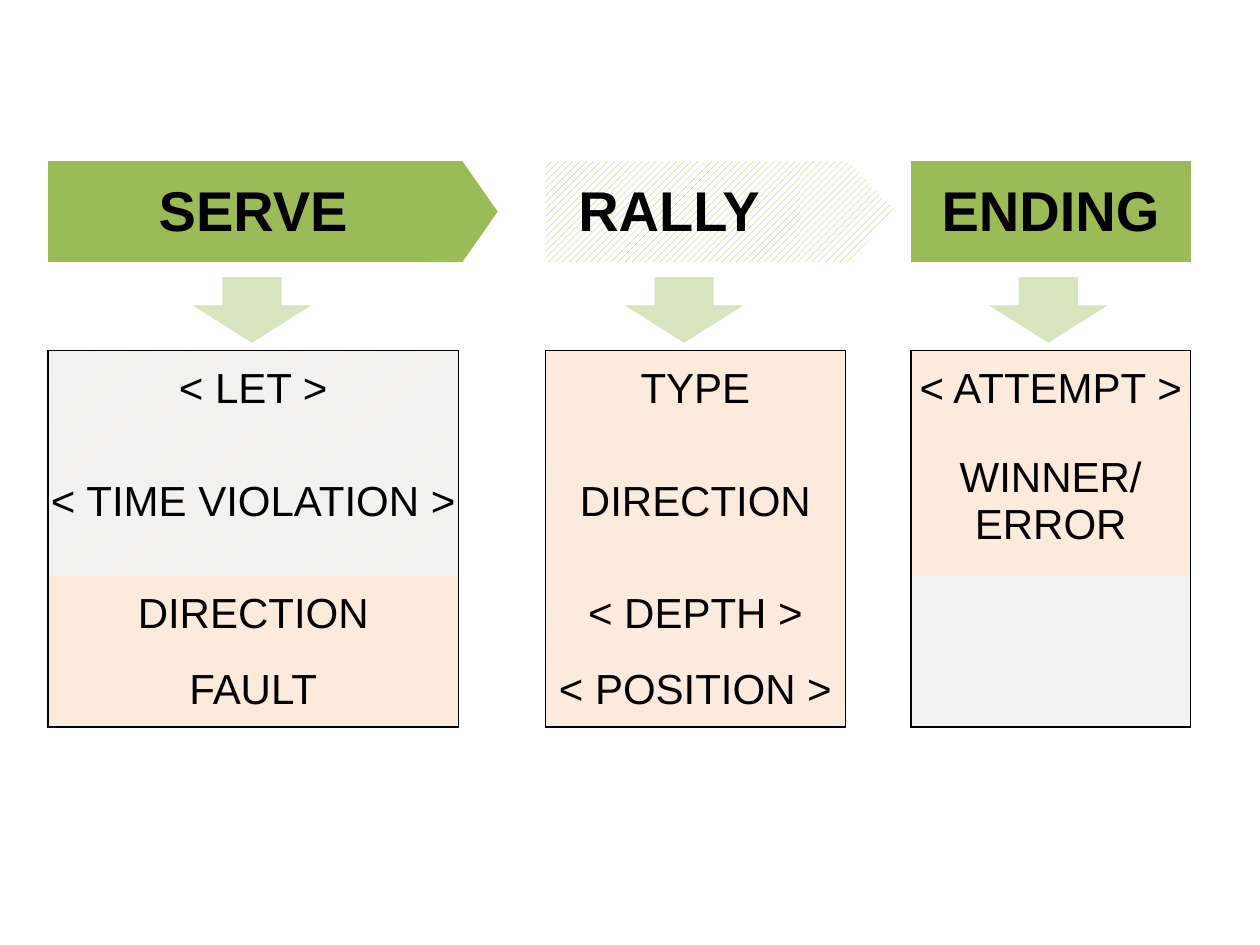
from lxml.etree import SubElement
from pptx import Presentation
from pptx.dml.color import RGBColor
from pptx.enum.dml import MSO_PATTERN
from pptx.enum.shapes import MSO_SHAPE
from pptx.enum.text import MSO_ANCHOR, PP_ALIGN
from pptx.oxml.ns import qn
from pptx.util import Inches, Pt

COLORS = {"green": "9BBB59", "pale_green": "D7E4BD", "peach": "FDEADA",
          "gray": "F2F2F2", "white": "FFFFFF", "black": "000000"}
FILLS = {  # one name: solid; two names: stripes on a background
    "green": ["green"], "green_stripes": ["green", "white"],
    "peach": ["peach"], "peach_stripes": ["gray", "peach"],
    "gray": ["gray"], "gray_stripes": ["peach", "gray"],
}


def paint(fill, names):
    """Apply a solid colour or diagonal stripes to a fill."""
    colors = [RGBColor.from_string(COLORS[name]) for name in names]
    if len(colors) == 1:
        fill.solid()
        fill.fore_color.rgb = colors[0]
    else:
        fill.patterned()
        fill.pattern = MSO_PATTERN.WIDE_UPWARD_DIAGONAL
        fill.fore_color.rgb, fill.back_color.rgb = colors


def draw_borders(cell, black_sides):
    """Draw the given sides (L, R, T, B) in black and hide the others."""
    properties = cell._tc.get_or_add_tcPr()
    for side in "LRTB":
        line = SubElement(properties, qn("a:ln" + side), w=str(Pt(1)))
        if side in black_sides:
            solid = SubElement(line, qn("a:solidFill"))
            SubElement(solid, qn("a:srgbClr"), val=COLORS["black"])
        else:
            SubElement(line, qn("a:noFill"))


prs = Presentation()
prs.slide_width, prs.slide_height = Inches(10), Inches(7.5)
slide = prs.slides.add_slide(prs.slide_layouts[6])

LEFT, TOP = 0.38, 1.28
column_widths = [3.26, 0.69, 2.38, 0.52, 2.22]
row_heights = [0.8, 0.7, 0.6, 1.19, 0.6, 0.6]
HEADER, ARROW_ROW, FIRST, LAST = 0, 1, 2, 5

# Each phase fills every second column; None is the row for the down arrows
phases = [
    [("SERVE", "green"), None, ("< LET >", "gray_stripes"),
     ("< TIME VIOLATION >", "gray_stripes"), ("DIRECTION", "peach"), ("FAULT", "peach")],
    [("RALLY", "green_stripes"), None, ("TYPE", "peach_stripes"),
     ("DIRECTION", "peach_stripes"), ("< DEPTH >", "peach_stripes"),
     ("< POSITION >", "peach_stripes")],
    [("ENDING", "green"), None, ("< ATTEMPT >", "peach_stripes"),
     ("WINNER/ ERROR", "peach"), ("", "gray"), ("", "gray")],
]

rally_table = slide.shapes.add_table(
    len(row_heights), len(column_widths), Inches(LEFT), Inches(TOP),
    Inches(sum(column_widths)), Inches(sum(row_heights))).table
rally_table.first_row = rally_table.horz_banding = False
for column, width in zip(rally_table.columns, column_widths):
    column.width = Inches(width)
for row, height in zip(rally_table.rows, row_heights):
    row.height = Inches(height)

cell_format = {"margin_left": Inches(0.01), "margin_right": Inches(0.01),
               "margin_top": Inches(0.01), "margin_bottom": 0,
               "vertical_anchor": MSO_ANCHOR.MIDDLE}

for r in range(len(row_heights)):
    for c in range(len(column_widths)):
        cell = rally_table.cell(r, c)
        is_phase = c % 2 == 0
        sides = "LR" if r >= FIRST else ""
        if is_phase:
            sides += {ARROW_ROW: "B", FIRST: "T", LAST: "B"}.get(r, "")
        draw_borders(cell, sides)
        for attribute, value in cell_format.items():
            setattr(cell, attribute, value)
        entry = phases[c // 2][r] if is_phase else None
        if entry is None:
            cell.fill.background()
            continue
        label, fill_name = entry
        paint(cell.fill, FILLS[fill_name])
        if not label:
            continue
        paragraph = cell.text_frame.paragraphs[0]
        paragraph.alignment = PP_ALIGN.CENTER
        if label == "RALLY":
            paragraph.alignment = PP_ALIGN.LEFT
            cell.margin_left = Inches(0.26)
        run = paragraph.add_run()
        run.text = label
        run.font.name = "Arial"
        run.font.size = Pt(32 if r == HEADER else 24)
        run.font.bold = r == HEADER
        run.font.color.rgb = RGBColor.from_string(COLORS["black"])

# Tips that turn two headers into arrows, then one down arrow per phase
markers = [(MSO_SHAPE.PENTAGON, 3.39, TOP, 0.56, 0.8, FILLS["green"]),
           (MSO_SHAPE.PENTAGON, 6.35, TOP, 0.76, 0.8, FILLS["green_stripes"])]
markers += [(MSO_SHAPE.DOWN_ARROW, left, 2.2, 0.94, 0.52, ["pale_green"])
            for left in (1.53, 4.96, 7.85)]
for kind, left, top, width, height, colors in markers:
    marker = slide.shapes.add_shape(
        kind, Inches(left), Inches(top), Inches(width), Inches(height))
    marker.shadow.inherit = False
    marker.line.fill.background()
    paint(marker.fill, colors)
    if kind == MSO_SHAPE.DOWN_ARROW:
        marker.adjustments[0], marker.adjustments[1] = 0.5, 0.57

prs.save("out.pptx")
